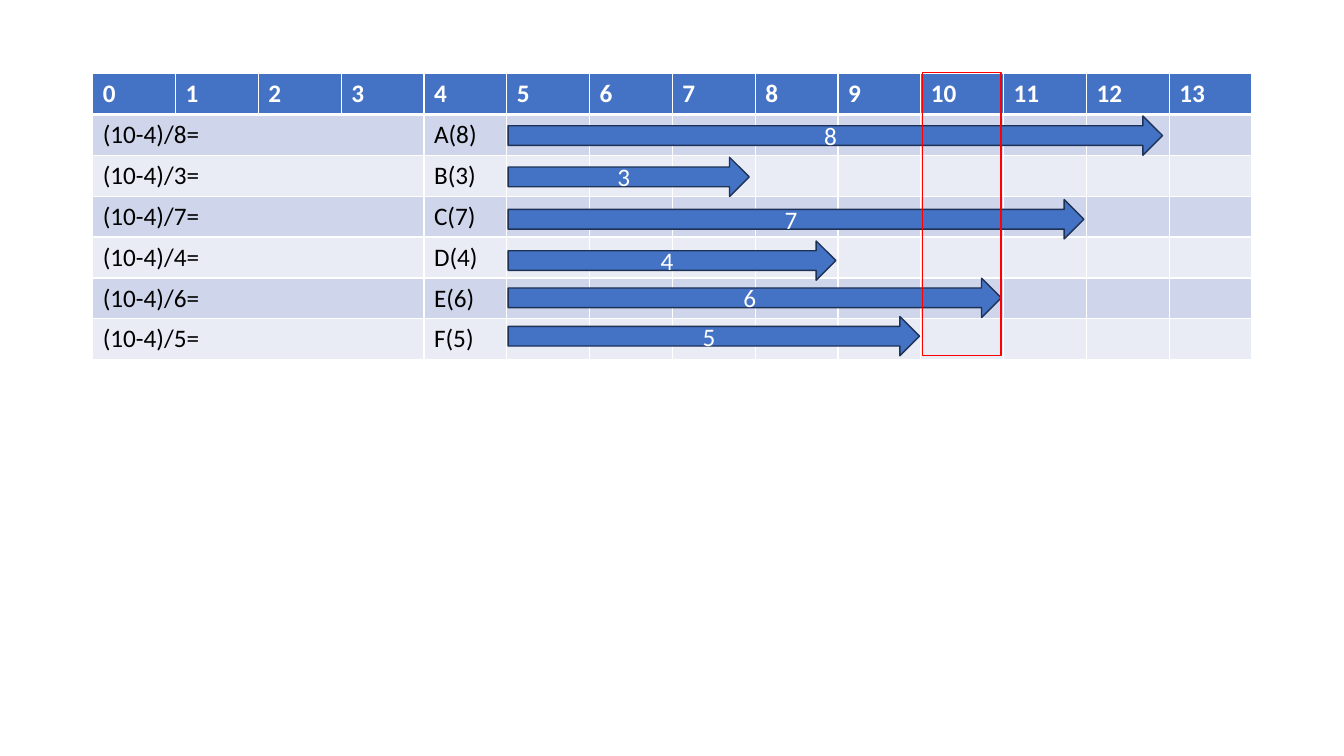
from lxml import etree
from pptx import Presentation
from pptx.dml.color import RGBColor
from pptx.enum.shapes import MSO_SHAPE
from pptx.enum.text import MSO_ANCHOR, PP_ALIGN
from pptx.oxml.ns import qn
from pptx.util import Inches, Pt

ARROW, RECTANGLE = MSO_SHAPE.RIGHT_ARROW, MSO_SHAPE.RECTANGLE
MIDDLE = MSO_ANCHOR.MIDDLE
LEFT, CENTER = PP_ALIGN.LEFT, PP_ALIGN.CENTER

HEADINGS = [str(number) for number in range(14)]
TASKS = [
    ("A", 8, 1.15, 6.49),
    ("B", 3, 1.56, 2.39),
    ("C", 7, 1.98, 5.71),
    ("D", 4, 2.39, 3.25),
    ("E", 6, 2.76, 4.89),
    ("F", 5, 3.14, 4.08),
]
LABEL_COLUMN = 4
TABLE_BOX = (0.92, 0.73, 11.5, 2.81)
MARKER_BOX = (9.15, 0.72, 0.78, 2.81)
ARROW_LEFT, ARROW_HEIGHT = 5.04, 0.39

THEME = {
    "font": "Calibri",
    "size": 18,
    "accent": "4472C4",
    "outline": "1E3256",
    "bands": ("CFD5EA", "E9EBF5"),
    "light": "FFFFFF",
    "dark": "000000",
    "marker": "FF0000",
    "thin": 1,
    "thick": 3,
}


def color(name):
    return RGBColor.from_string(name)


def write(frame, text, ink=THEME["dark"], bold=False, align=LEFT):
    para = frame.paragraphs[0]
    para.alignment = align
    span = para.add_run()
    span.text = text
    span.font.name = THEME["font"]
    span.font.size = Pt(THEME["size"])
    span.font.bold = bold
    span.font.color.rgb = color(ink)


def style_cell(cell, row):
    properties = cell._tc.get_or_add_tcPr()
    thick_side = {0: "lnB", 1: "lnT"}.get(row)
    for side in ("lnL", "lnR", "lnT", "lnB"):
        width = THEME["thick" if side == thick_side else "thin"]
        line = etree.SubElement(properties, qn("a:" + side), w=str(Pt(width)))
        fill = etree.SubElement(line, qn("a:solidFill"))
        etree.SubElement(fill, qn("a:srgbClr"), val=THEME["light"])
    cell.fill.solid()
    cell.fill.fore_color.rgb = color(THEME["bands"][(row - 1) % 2] if row else THEME["accent"])


def add_schedule(page):
    row_count, column_count = len(TASKS) + 1, len(HEADINGS)
    left, top, width, height = map(Inches, TABLE_BOX)
    table = page.shapes.add_table(row_count, column_count, left, top, width, height).table
    for column in table.columns:
        column.width = width // column_count
    for row in range(row_count):
        table.rows[row].height = height // row_count
        for column in range(column_count):
            style_cell(table.cell(row, column), row)
    for column, heading in enumerate(HEADINGS):
        write(table.cell(0, column).text_frame, heading, ink=THEME["light"], bold=True)
    for row, (name, duration, _, _) in enumerate(TASKS, 1):
        table.cell(row, 0).merge(table.cell(row, LABEL_COLUMN - 1))
        write(table.cell(row, 0).text_frame, f"(10-4)/{duration}=")
        write(table.cell(row, LABEL_COLUMN).text_frame, f"{name}({duration})")


def add_box(page, kind, place, line, fill=None):
    box = page.shapes.add_shape(kind, *map(Inches, place))
    box.shadow.inherit = False
    box.line.color.rgb = color(line)
    box.line.width = Pt(THEME["thin"])
    if fill:
        box.fill.solid()
        box.fill.fore_color.rgb = color(fill)
    else:
        box.fill.background()
    return box


def main():
    deck = Presentation()
    deck.slide_width, deck.slide_height = Inches(13.33), Inches(7.5)
    page = deck.slides.add_slide(deck.slide_layouts[6])
    add_schedule(page)
    for _, duration, top, length in TASKS:
        place = (ARROW_LEFT, top, length, ARROW_HEIGHT)
        arrow = add_box(page, ARROW, place, THEME["outline"], fill=THEME["accent"])
        arrow.text_frame.vertical_anchor = MIDDLE
        write(arrow.text_frame, str(duration), ink=THEME["light"], align=CENTER)
    add_box(page, RECTANGLE, MARKER_BOX, THEME["marker"])
    deck.save("out.pptx")


if __name__ == "__main__":
    main()
